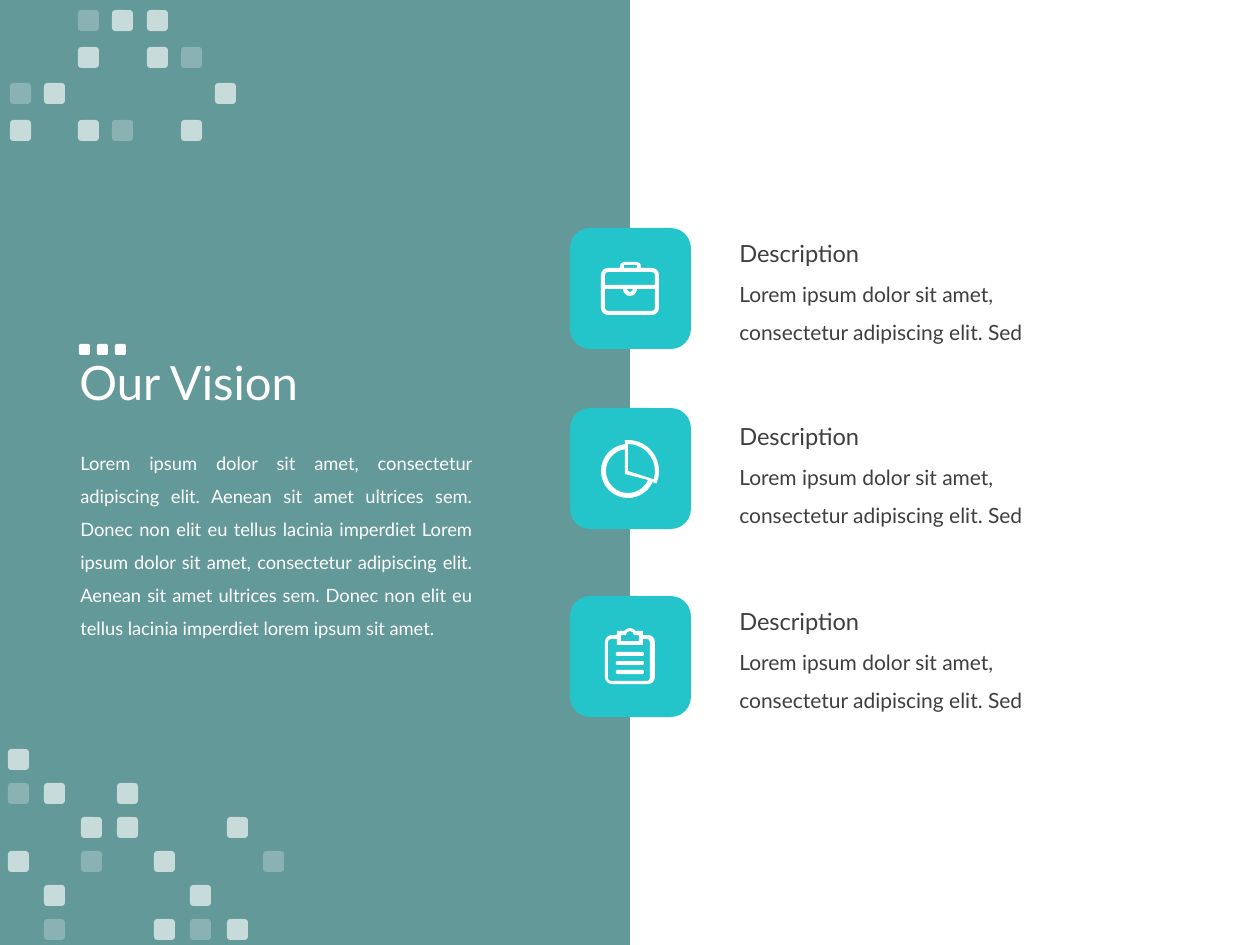
from dataclasses import dataclass
from itertools import chain, pairwise
from math import cos, radians, sin, tan

from lxml import etree
from pptx import Presentation
from pptx.dml.color import RGBColor
from pptx.enum.shapes import MSO_SHAPE
from pptx.enum.text import MSO_ANCHOR, MSO_AUTO_SIZE, PP_ALIGN
from pptx.oxml.ns import qn
from pptx.util import Emu, Pt

RECTANGLE = MSO_SHAPE.RECTANGLE
ROUNDED = MSO_SHAPE.ROUNDED_RECTANGLE
MIDDLE = MSO_ANCHOR.MIDDLE
GROW = MSO_AUTO_SIZE.SHAPE_TO_FIT_TEXT
JUSTIFY = PP_ALIGN.JUSTIFY

EMU_PER_PX = 914400 / 126
COLOURS = {"panel": "126365", "tile": "23C5CA", "white": "FFFFFF", "text": "3F3F3F"}
FONT = "Lato"
SQUARE_OPACITY = {"#": 65, "+": 25}

Point = tuple[float, float]
Step = tuple[Point, ...]  # one point: a line; three points: a cubic curve
Contour = list[Step]


@dataclass(frozen=True)
class Area:
    left: int
    top: int
    width: int
    height: int


@dataclass(frozen=True)
class SquarePattern:
    """Squares on a grid: # strong, + faint, . none; spans run first to last cell."""
    left: int
    top: int
    span_x: int
    span_y: int
    rows: tuple[str, ...]


@dataclass(frozen=True)
class Item:
    tile_top: int
    heading_top: int
    icon: list[Contour]


def px(length: float) -> Emu:
    return Emu(round(length * EMU_PER_PX))


def place(area: Area) -> list[Emu]:
    return [px(n) for n in (area.left, area.top, area.width, area.height)]


def paint(shape, colour: str, opacity: int = 100) -> None:
    shape.shadow.inherit = False
    shape.line.fill.background()
    shape.fill.solid()
    shape.fill.fore_color.rgb = RGBColor.from_string(COLOURS[colour])
    if opacity < 100:
        tint = shape.fill._xPr.find(qn("a:solidFill"))[0]
        etree.SubElement(tint, qn("a:alpha")).set("val", str(opacity * 1000))


def add_block(page, kind, area: Area, colour: str, opacity: int = 100) -> None:
    paint(page.shapes.add_shape(kind, *place(area)), colour, opacity)


def add_text(page, area: Area, text: str, size: float, colour: str,
             frame_format: dict, para_format: dict) -> None:
    frame = page.shapes.add_textbox(*place(area)).text_frame
    para = frame.paragraphs[0]
    span = para.add_run()
    span.text = text
    span.font.color.rgb = RGBColor.from_string(COLOURS[colour])
    formats = (
        (frame, {"word_wrap": True, **frame_format}),
        (para, para_format),
        (span.font, {"name": FONT, "size": Pt(size)}),
    )
    for target, values in formats:
        for name, value in values.items():
            setattr(target, name, value)


def add_squares(page, pattern: SquarePattern) -> None:
    last_row, last_column = len(pattern.rows) - 1, len(pattern.rows[0]) - 1
    for row, marks in enumerate(pattern.rows):
        for column, mark in enumerate(marks):
            if mark in SQUARE_OPACITY:
                left = pattern.left + round(pattern.span_x * column / last_column)
                top = pattern.top + round(pattern.span_y * row / last_row)
                add_block(page, ROUNDED, Area(left, top, 21, 21), "white", SQUARE_OPACITY[mark])


def lines(*points: Point) -> Contour:
    return [(point,) for point in points]


def arc(x: float, y: float, radius: float, *stops: int) -> Contour:
    """Line to the first stop, then a curve to each next; degrees run clockwise from the right."""
    def on_circle(angle: float, pull: float = 0) -> Point:
        return (x + radius * (cos(angle) - pull * sin(angle)),
                y + radius * (sin(angle) + pull * cos(angle)))

    angles = [radians(stop) for stop in stops]
    steps: Contour = [(on_circle(angles[0]),)]
    for start, end in pairwise(angles):
        pull = 4 / 3 * tan((end - start) / 4)
        steps.append((on_circle(start, pull), on_circle(end, -pull), on_circle(end)))
    return steps


def rounded(x: int, y: int, width: int, height: int, radius: int,
            top_edge: Contour | None = None) -> Contour:
    """Rounded rectangle whose top edge may pass through extra steps."""
    left, right = x + radius, x + width - radius
    top, bottom = y + radius, y + height - radius
    return (arc(left, top, radius, 180, 270) + (top_edge or [])
            + arc(right, top, radius, 270, 360)
            + arc(right, bottom, radius, 0, 90) + arc(left, bottom, radius, 90, 180))


def bend(segment, step: Step) -> None:
    """Turn a line segment into the cubic curve that ends at the same point."""
    end = segment[0]
    for x, y in step[:2]:
        control = etree.Element(qn("a:pt"))
        control.set("x", str(int(end.get("x")) + px(x - step[2][0])))
        control.set("y", str(int(end.get("y")) + px(y - step[2][1])))
        end.addprevious(control)
    segment.tag = qn("a:cubicBezTo")


def add_icon(page, contours: list[Contour]) -> None:
    outlines = [[(px(step[-1][0]), px(step[-1][1])) for step in contour] for contour in contours]
    builder = page.shapes.build_freeform(*outlines[0][0])
    for index, (start, *rest) in enumerate(outlines):
        if index:
            builder.move_to(*start)
        builder.add_line_segments(rest, close=True)
    shape = builder.convert_to_shape()
    segments = list(shape._element.iter(qn("a:moveTo"), qn("a:lnTo")))
    for segment, step in zip(segments, chain.from_iterable(contours)):
        if len(step) == 3:
            bend(segment, step)
    paint(shape, "white")


HANDLE = (lines((620, 268)) + arc(624, 266, 4, 180, 270)
          + arc(637, 266, 4, 270, 360) + lines((641, 268)))
BRIEFCASE = [
    rounded(601, 268, 58, 47, 7, HANDLE),
    lines((624, 268), (624, 265), (637, 265), (637, 268)),
    lines((605, 285), (605, 275)) + arc(608, 275, 3, 180, 270)
    + arc(652, 275, 3, 270, 360) + lines((655, 285)),
    lines((605, 289)) + arc(630, 289, 7, 180, 90, 0) + lines((655, 289))
    + arc(652, 308, 3, 0, 90) + arc(608, 308, 3, 90, 180),
    arc(630, 289, 3, 0, 90, 180),
]
PIE = [
    arc(628, 471, 27, 264, 180, 90, 24) + arc(628, 471, 31, 24, 0, -90, -96),
    arc(628, 471, 22, 262, 180, 90, 24) + lines((625, 474)),
    arc(628, 471, 27, -90, 0, 18) + lines((628, 471)),
]
CLIP = (lines((617, 635), (617, 631)) + arc(630, 635, 7, 215, 270, 325)
        + lines((643, 631), (643, 635)))
CLIPBOARD = [
    rounded(605, 635, 50, 49, 7, CLIP),
    rounded(608, 639, 42, 42, 3, lines((617, 639), (617, 645), (643, 645), (643, 639))),
    lines((621, 635)) + arc(630, 635, 4, 180, 270, 360)
    + lines((639, 635), (639, 641), (621, 641)),
    *[rounded(616, 652 + 9 * line, 28, 4, 1) for line in range(3)],
]

PATTERNS = (
    SquarePattern(8, 749, 255, 170, (
        "#.......",
        "+#.#....",
        "..##..#.",
        "#.+.#..+",
        ".#...#..",
        ".+..#+#.",
    )),
    SquarePattern(10, 10, 205, 110, (
        "..+##..",
        "..#.#+.",
        "+#....#",
        "#.#+.#.",
    )),
)
ITEMS = (Item(228, 233, BRIEFCASE), Item(408, 416, PIE), Item(596, 601, CLIPBOARD))
SENTENCE = "Lorem ipsum dolor sit amet, consectetur adipiscing elit."
VISION = (
    f"{SENTENCE} Aenean sit amet ultrices sem. Donec non elit eu tellus lacinia imperdiet "
    f"{SENTENCE} Aenean sit amet ultrices sem. Donec non elit eu tellus lacinia imperdiet "
    "lorem ipsum sit amet."
)


def add_item(page, item: Item) -> None:
    add_block(page, ROUNDED, Area(570, item.tile_top, 121, 121), "tile")
    add_icon(page, item.icon)
    add_text(page, Area(727, item.heading_top + 30, 375, 84), f"{SENTENCE} Sed", 12, "text",
             {"auto_size": GROW}, {"line_spacing": 1.5})
    add_text(page, Area(727, item.heading_top, 222, 42), "Description", 13.5, "text",
             {"auto_size": GROW}, {})


def main() -> None:
    deck = Presentation()
    deck.slide_width, deck.slide_height = px(1260), px(945)
    page = deck.slides.add_slide(deck.slide_layouts[6])

    add_block(page, RECTANGLE, Area(0, 0, 630, 945), "panel", 65)
    add_text(page, Area(67, 280, 1086, 210), "Our Vision", 27, "white",
             {"vertical_anchor": MIDDLE}, {"line_spacing": 0.9})
    add_text(page, Area(68, 435, 417, 209), VISION, 10.5, "white",
             {"auto_size": GROW}, {"alignment": JUSTIFY, "line_spacing": 1.5})
    for item in ITEMS:
        add_item(page, item)
    for dot in range(3):
        add_block(page, ROUNDED, Area(79 + 18 * dot, 344, 11, 11), "white")
    for pattern in PATTERNS:
        add_squares(page, pattern)

    deck.save("out.pptx")


if __name__ == "__main__":
    main()
